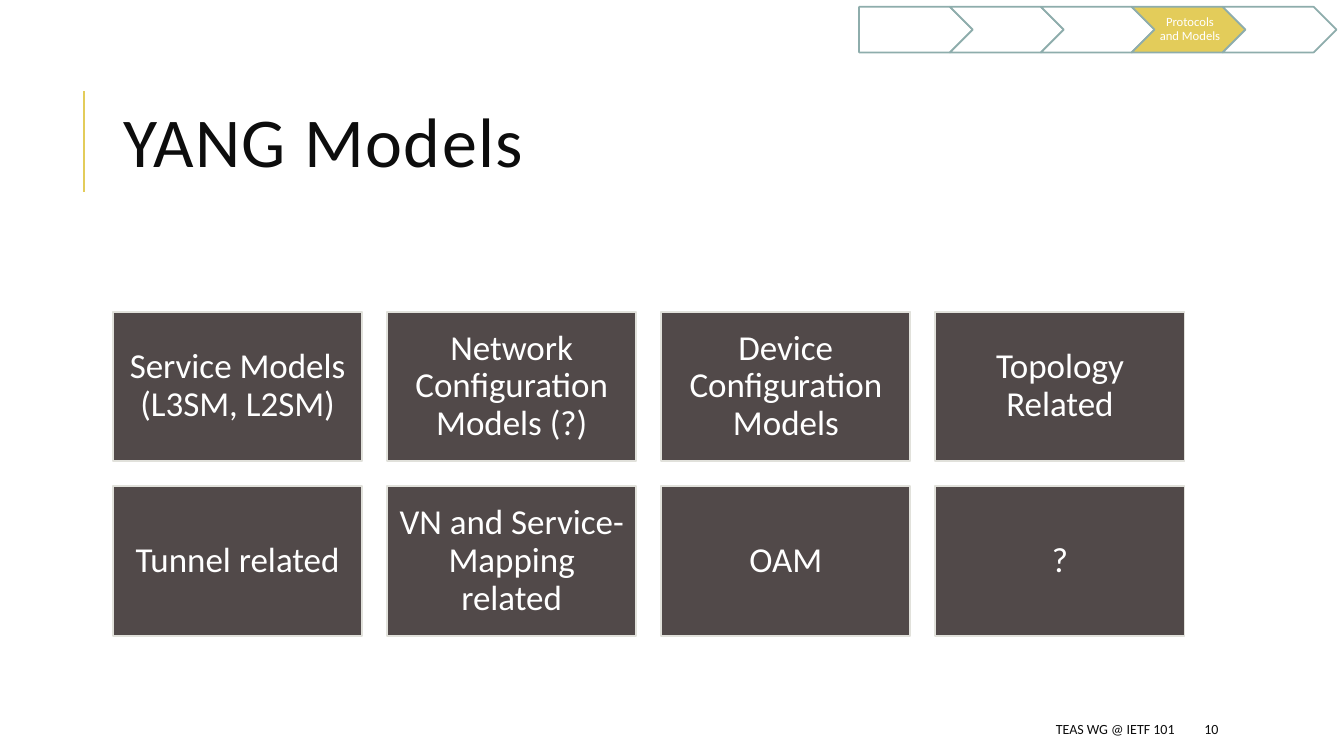
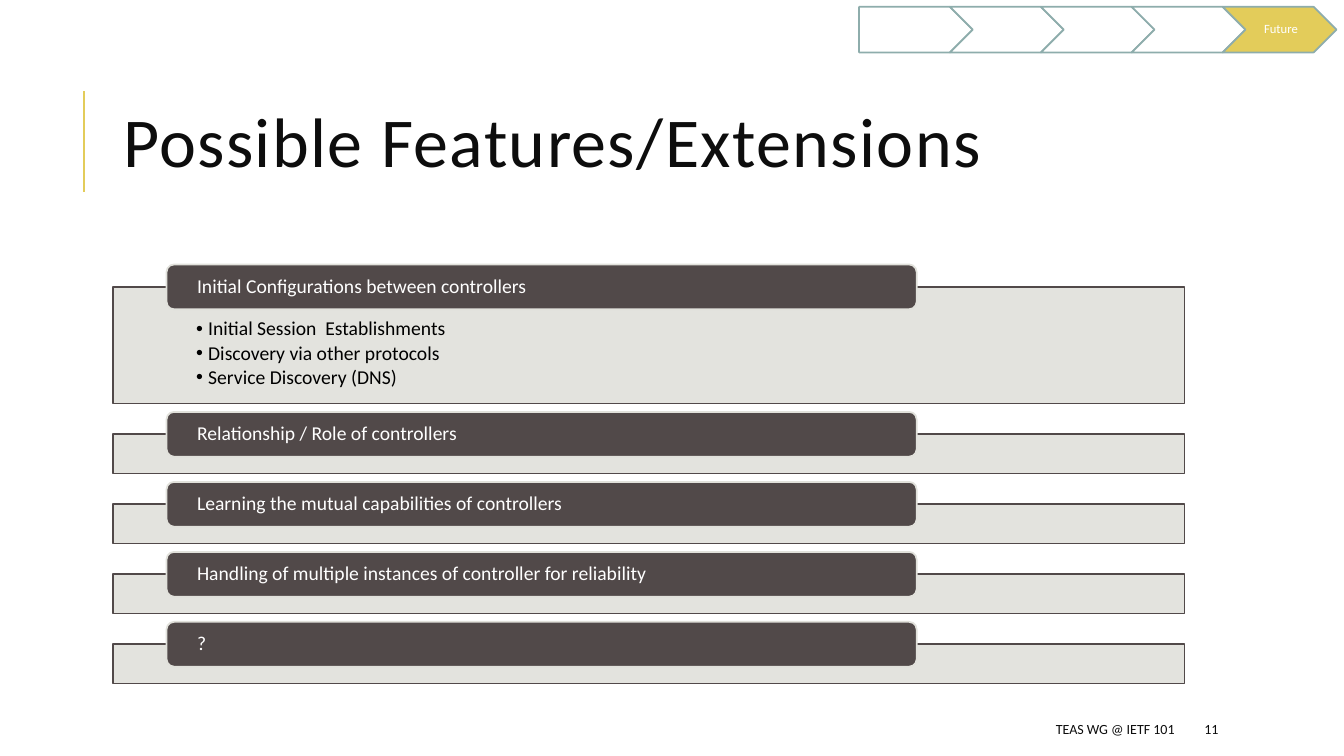
from dataclasses import dataclass

from lxml import etree
from pptx import Presentation
from pptx.dml.color import RGBColor
from pptx.enum import shapes, text
from pptx.oxml import ns
from pptx.shapes.autoshape import Shape
from pptx.slide import Slide
from pptx.util import Pt

GOLD = RGBColor(0xE3, 0xCC, 0x5A)
TEAL = RGBColor(0x8E, 0xAD, 0xAC)
BROWN = RGBColor(0x51, 0x49, 0x49)
STONE = RGBColor(0xE1, 0xE1, 0xDB)
INK = RGBColor(0x0D, 0x0D, 0x0D)
BLACK = RGBColor(0, 0, 0)
WHITE = RGBColor(0xFF, 0xFF, 0xFF)
FONT = "Calibri"
FORM = shapes.MSO_SHAPE
LEFT, CENTER, RIGHT = text.PP_ALIGN.LEFT, text.PP_ALIGN.CENTER, text.PP_ALIGN.RIGHT
TOP, MIDDLE = text.MSO_ANCHOR.TOP, text.MSO_ANCHOR.MIDDLE
TITLE_ONLY, TITLE_AND_BODY = 5, 1
CONTENT_LEFT, CONTENT_WIDTH = 80.7, 765.4
STAGE_COUNT = 5


@dataclass(frozen=True)
class Box:
    left: float
    top: float
    width: float
    height: float

    def points(self) -> tuple:
        return Pt(self.left), Pt(self.top), Pt(self.width), Pt(self.height)


@dataclass(frozen=True)
class Style:
    size: float
    color: RGBColor
    align: text.PP_ALIGN = LEFT
    anchor: text.MSO_ANCHOR = MIDDLE
    spacing: float = 0.9
    after: float = 0
    insets: tuple = (7.2, 3.6, 7.2, 3.6)


@dataclass(frozen=True)
class Topic:
    heading: str
    details: tuple = ()


TITLE = Style(50, INK, spacing=0.8)
CARD = Style(25, WHITE, CENTER, insets=(7, 7, 7, 7))
STAGE = Style(9, WHITE, CENTER, insets=(2.7, 2, 0.9, 2))
HEADING = Style(14, WHITE, insets=(20.2, 0, 20.2, 0))
DETAIL = Style(14, BLACK, anchor=TOP, after=2.1, insets=(59.4, 23, 59.4, 7.9))
FOOTER = Style(10, INK, RIGHT, spacing=1)
PAGE_NUMBER = Style(10, INK, spacing=1)

MODELS = (
    "Service Models (L3SM, L2SM)",
    "Network Configuration Models (?)",
    "Device Configuration Models",
    "Topology Related",
    "Tunnel related",
    "VN and Service-Mapping related",
    "OAM",
    "?",
)
TOPICS = (
    Topic(
        "Initial Configurations between controllers",
        (
            "Initial Session  Establishments",
            "Discovery via other protocols",
            "Service Discovery (DNS)",
        ),
    ),
    Topic("Relationship / Role of controllers"),
    Topic("Learning the mutual capabilities of controllers"),
    Topic("Handling of multiple instances of controller for reliability"),
    Topic("?"),
)


def write(holder: Shape, lines: tuple, style: Style) -> None:
    frame = holder.text_frame
    frame.text = "\n".join(lines)
    frame.word_wrap = True
    frame.auto_size = text.MSO_AUTO_SIZE.NONE
    frame.vertical_anchor = style.anchor
    (frame.margin_left, frame.margin_top,
     frame.margin_right, frame.margin_bottom) = map(Pt, style.insets)
    for line in frame.paragraphs:
        line.alignment = style.align
        line.line_spacing = style.spacing
        line.space_before = Pt(0)
        line.space_after = Pt(style.after)
        line.font.name = FONT
        line.font.size = Pt(style.size)
        line.font.color.rgb = style.color


def place(holder: Shape, box: Box) -> None:
    holder.left, holder.top, holder.width, holder.height = box.points()


def paint(holder: Shape, fill: RGBColor, outline: RGBColor) -> None:
    holder.fill.solid()
    holder.fill.fore_color.rgb = fill
    holder.line.color.rgb = outline
    holder.line.width = Pt(1.25)


def add_form(slide: Slide, form: FORM, box: Box, fill: RGBColor, outline: RGBColor) -> Shape:
    added = slide.shapes.add_shape(form, *box.points())
    added.shadow.inherit = False
    paint(added, fill, outline)
    return added


def add_label(slide: Slide, box: Box, words: str, style: Style) -> None:
    write(slide.shapes.add_textbox(*box.points()), (words,), style)


def add_accent(slide: Slide) -> None:
    accent = slide.shapes.add_connector(
        shapes.MSO_CONNECTOR.STRAIGHT, Pt(59.9), Pt(136.8), Pt(59.9), Pt(64.8))
    accent.line.color.rgb = GOLD
    accent.line.width = Pt(1.5)
    etree.SubElement(accent.line._get_or_add_ln().getparent(), ns.qn("a:effectLst"))


def add_progress(slide: Slide, current: int, stage_name: str) -> None:
    width = 81.2
    for index in range(STAGE_COUNT):
        active = index == current
        stage = add_form(
            slide,
            FORM.CHEVRON if index else FORM.PENTAGON,
            Box(613.6 + index * width * 0.8, 4.9, width, 32.5),
            GOLD if active else WHITE,
            TEAL,
        )
        if active:
            write(stage, (stage_name,), STAGE)


def start_slide(deck: Presentation, layout: int, title: str, number: int) -> Slide:
    slide = deck.slides.add_slide(deck.slide_layouts[layout])
    heading = slide.shapes.title
    place(heading, Box(CONTENT_LEFT, 46, CONTENT_WIDTH, 118))
    write(heading, (title,), TITLE)
    for line in heading.text_frame.paragraphs:
        line._p.pPr.find(ns.qn("a:defRPr")).set("spc", "100")
    add_accent(slide)
    add_label(slide, Box(381.7, 509.8, 464.4, 21.6), "TEAS WG @ IETF 101", FOOTER)
    add_label(slide, Box(853.2, 509.8, 76.3, 21.6), str(number), PAGE_NUMBER)
    return slide


def add_model_cards(slide: Slide) -> None:
    columns, gap, height = 4, 17.8, 106.8
    width = (CONTENT_WIDTH - (columns - 1) * gap) / columns
    for index, model in enumerate(MODELS):
        row, column = divmod(index, columns)
        box = Box(CONTENT_LEFT + column * (width + gap), 222.7 + row * (height + gap),
                  width, height)
        write(add_form(slide, FORM.RECTANGLE, box, BROWN, STONE), (model,), CARD)


def add_bullets(holder: Shape) -> None:
    for line in holder.text_frame.paragraphs:
        properties = line._p.get_or_add_pPr()
        properties.set("marL", str(Pt(8.6)))
        properties.set("indent", str(Pt(-8.6)))
        bullet = etree.Element(ns.qn("a:buChar"), char="•")
        properties.find(ns.qn("a:defRPr")).addprevious(bullet)


def soften(panel: Shape) -> None:
    tint = panel._element.spPr.find(ns.qn("a:solidFill")).find(ns.qn("a:srgbClr"))
    etree.SubElement(tint, ns.qn("a:alpha"), val="90000")


def add_topics(slide: Slide) -> None:
    top, gap = 204.9, 22
    for topic in TOPICS:
        box = Box(CONTENT_LEFT, top, CONTENT_WIDTH, 83.3 if topic.details else 28)
        if topic.details:
            panel = slide.placeholders[1]
            place(panel, box)
            paint(panel, STONE, BROWN)
            write(panel, topic.details, DETAIL)
            add_bullets(panel)
        else:
            panel = add_form(slide, FORM.RECTANGLE, box, STONE, BROWN)
        soften(panel)
        tab = add_form(slide, FORM.ROUNDED_RECTANGLE, Box(119, top - 16, 535.8, 32),
                       BROWN, STONE)
        write(tab, (topic.heading,), HEADING)
        top += box.height + gap


def main() -> None:
    deck = Presentation()
    deck.slide_width, deck.slide_height = Pt(960), Pt(540)

    models = start_slide(deck, TITLE_ONLY, "YANG Models", 10)
    add_model_cards(models)
    add_progress(models, 3, "Protocols and Models")

    features = start_slide(deck, TITLE_AND_BODY, "Possible Features/Extensions", 11)
    add_topics(features)
    add_progress(features, 4, "Future")

    deck.save("out.pptx")


if __name__ == "__main__":
    main()
